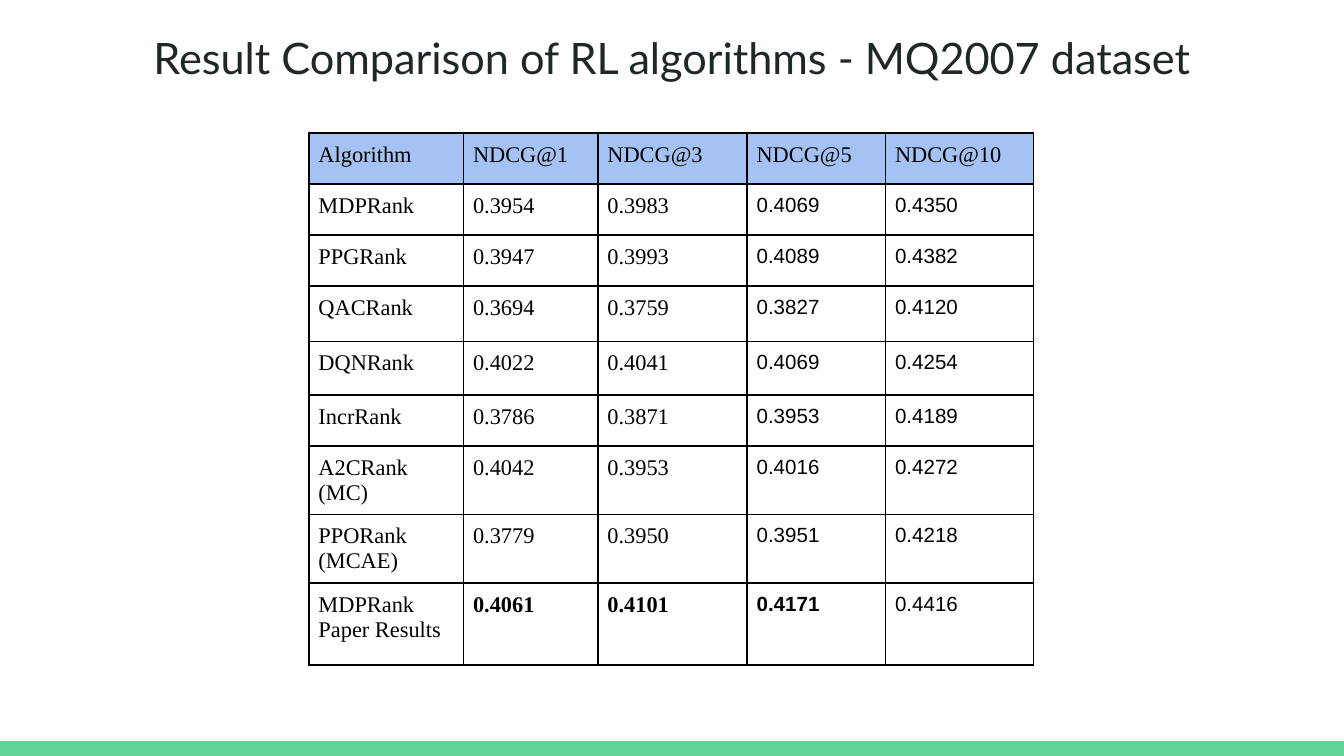
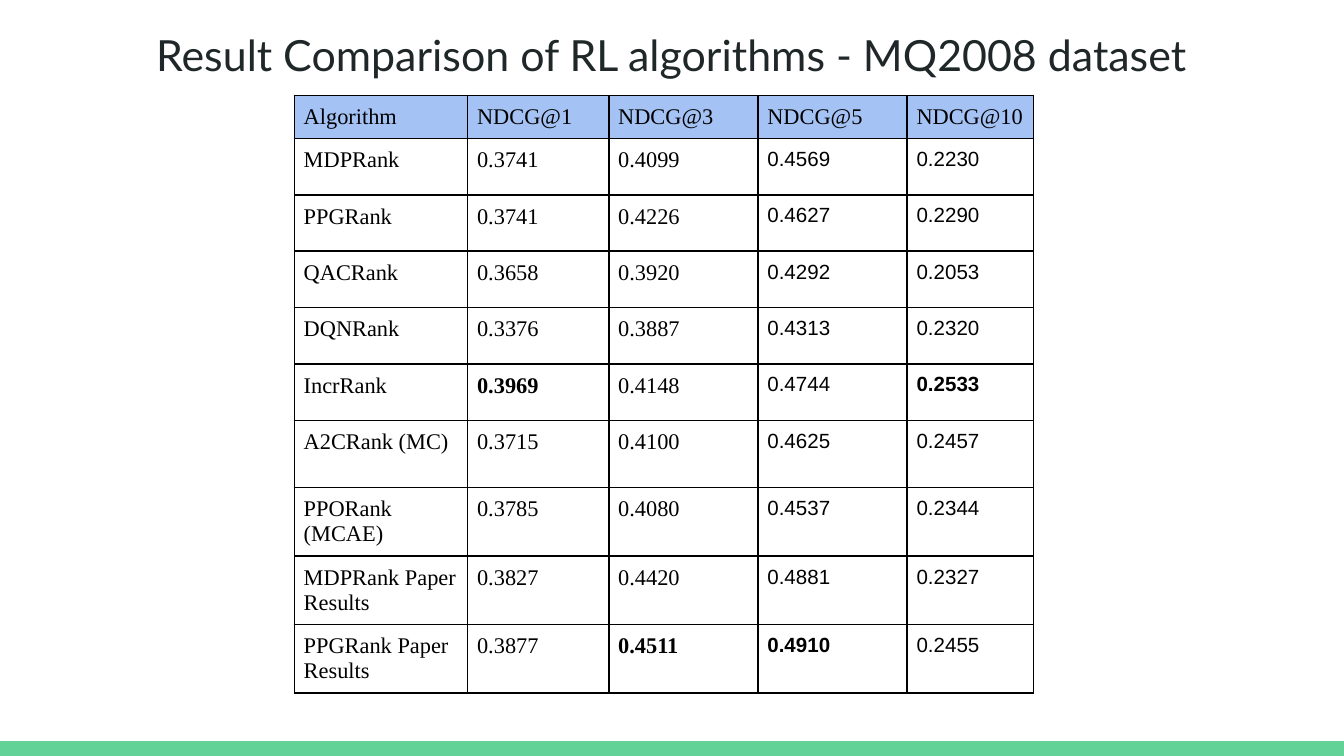
"""Build two slides that compare ranking algorithms on the MQ2007 and MQ2008 datasets."""
import lxml.etree
import pptx
import pptx.dml.color
import pptx.enum.shapes
import pptx.enum.text
import pptx.oxml.ns
import pptx.util

Inches, Pt = pptx.util.Inches, pptx.util.Pt
ALIGN = pptx.enum.text.PP_ALIGN
WIDTH = 10
HEIGHT = WIDTH * 9 / 16
BAND = 0.11
MARGIN = 0.34
PAD, PAD_BOTTOM = 0.07, 0.04
GREEN, INK, BLUE, BLACK = "63D297", "202729", "A4C2F4", "000000"
HEADER = ["Algorithm ", "NDCG@1", "NDCG@3", "NDCG@5", "NDCG@10"]

slides = [
    {
        "dataset": "MQ2007", "title": (0.13, 0.63, 23.2), "corner": (2.3, 0.99),
        "cols": [1.15, 1, 1.11, 1.03, 1.1],
        "rows": [0.38] * 3 + [0.41, 0.4, 0.38, 0.41, 0.44, 0.61],
        "bold_best": (1, 2, 3),
        "results": [
            ["MDPRank", "0.3954", "0.3983", "0.4069", "0.4350"],
            ["PPGRank", "0.3947", "0.3993", "0.4089", "0.4382"],
            ["QACRank", "0.3694", "0.3759", "0.3827", "0.4120"],
            ["DQNRank", "0.4022", "0.4041", "0.4069", "0.4254"],
            ["IncrRank", "0.3786", "0.3871", "0.3953", "0.4189"],
            ["A2CRank (MC)", "0.4042", "0.3953", "0.4016", "0.4272"],
            ["PPORank (MCAE)", "0.3779", "0.3950", "0.3951", "0.4218"],
            ["MDPRank Paper Results", "0.4061", "0.4101", "0.4171", "0.4416"],
        ],
    },
    {
        "dataset": "MQ2008", "title": (0.11, 0.51, 23), "corner": (2.19, 0.71),
        "cols": [1.29, 1.05, 1.11, 1.11, 0.94],
        "rows": [0.32] + [0.42] * 5 + [0.5] * 4,
        "bold_best": (1, 2, 3, 4),
        "results": [
            ["MDPRank", "0.3741", "0.4099", "0.4569", "0.2230"],
            ["PPGRank", "0.3741", "0.4226", "0.4627", "0.2290"],
            ["QACRank", "0.3658", "0.3920", "0.4292", "0.2053"],
            ["DQNRank", "0.3376", "0.3887", "0.4313", "0.2320"],
            ["IncrRank", "0.3969", "0.4148", "0.4744", "0.2533"],
            ["A2CRank (MC)", "0.3715", "0.4100", "0.4625", "0.2457"],
            ["PPORank (MCAE)", "0.3785", "0.4080", "0.4537", "0.2344"],
            ["MDPRank Paper Results", "0.3827", "0.4420", "0.4881", "0.2327"],
            ["PPGRank Paper Results", "0.3877", "0.4511", "0.4910", "0.2455"],
        ],
    },
]


def rgb(value):
    return pptx.dml.color.RGBColor.from_string(value)


def add_run(p, text, font, size, color, bold=False):
    r = p.add_run()
    r.text = text
    r.font.name, r.font.size, r.font.bold = font, Pt(size), bold
    r.font.color.rgb = rgb(color)


prs = pptx.Presentation()
prs.slide_width, prs.slide_height = Inches(WIDTH), Inches(HEIGHT)

for data in slides:
    s = prs.slides.add_slide(prs.slide_layouts[6])

    sp = s.shapes.add_shape(pptx.enum.shapes.MSO_SHAPE.RECTANGLE, 0, Inches(HEIGHT - BAND),
                            Inches(WIDTH), Inches(BAND))
    sp.shadow.inherit = False
    sp.fill.solid()
    sp.fill.fore_color.rgb = rgb(GREEN)
    sp.line.fill.background()

    top, height, size = data["title"]
    tf = s.shapes.add_textbox(Inches(MARGIN), Inches(top), Inches(WIDTH - 2 * MARGIN),
                              Inches(height)).text_frame
    tf.word_wrap = True
    tf.margin_left = tf.margin_right = tf.margin_top = tf.margin_bottom = Inches(0.1)
    p = tf.paragraphs[0]
    p.alignment = ALIGN.CENTER
    add_run(p, f"Result Comparison of RL algorithms - {data['dataset']} dataset", "Lato", size, INK)

    left, top = data["corner"]
    table = s.shapes.add_table(len(data["rows"]), len(data["cols"]), Inches(left), Inches(top),
                               Inches(sum(data["cols"])), Inches(sum(data["rows"]))).table
    table.first_row = table.horz_banding = False
    for column, width in zip(table.columns, data["cols"]):
        column.width = Inches(width)
    for row, height in zip(table.rows, data["rows"]):
        row.height = Inches(height)

    best = [max(column) for column in zip(*data["results"])]
    for i, texts in enumerate([HEADER] + data["results"]):
        for j, text in enumerate(texts):
            cell = table.cell(i, j)
            cell.margin_left = cell.margin_right = cell.margin_top = Inches(PAD)
            cell.margin_bottom = Inches(PAD_BOTTOM)
            tcPr = cell._tc.get_or_add_tcPr()
            for side in ("a:lnL", "a:lnR", "a:lnT", "a:lnB"):
                ln = lxml.etree.SubElement(tcPr, pptx.oxml.ns.qn(side), w=str(Pt(1)))
                fill = lxml.etree.SubElement(ln, pptx.oxml.ns.qn("a:solidFill"))
                lxml.etree.SubElement(fill, pptx.oxml.ns.qn("a:srgbClr"), val=BLACK)
            if i == 0:
                cell.fill.solid()
                cell.fill.fore_color.rgb = rgb(BLUE)
            else:
                cell.fill.background()
            p = cell.text_frame.paragraphs[0]
            p.alignment = ALIGN.LEFT if "Paper" in text else ALIGN.JUSTIFY
            font, size = ("Arial", 11) if i > 0 and j > 2 else ("Times New Roman", 12)
            add_run(p, text, font, size, BLACK, j in data["bold_best"] and text == best[j])

prs.save("out.pptx")
